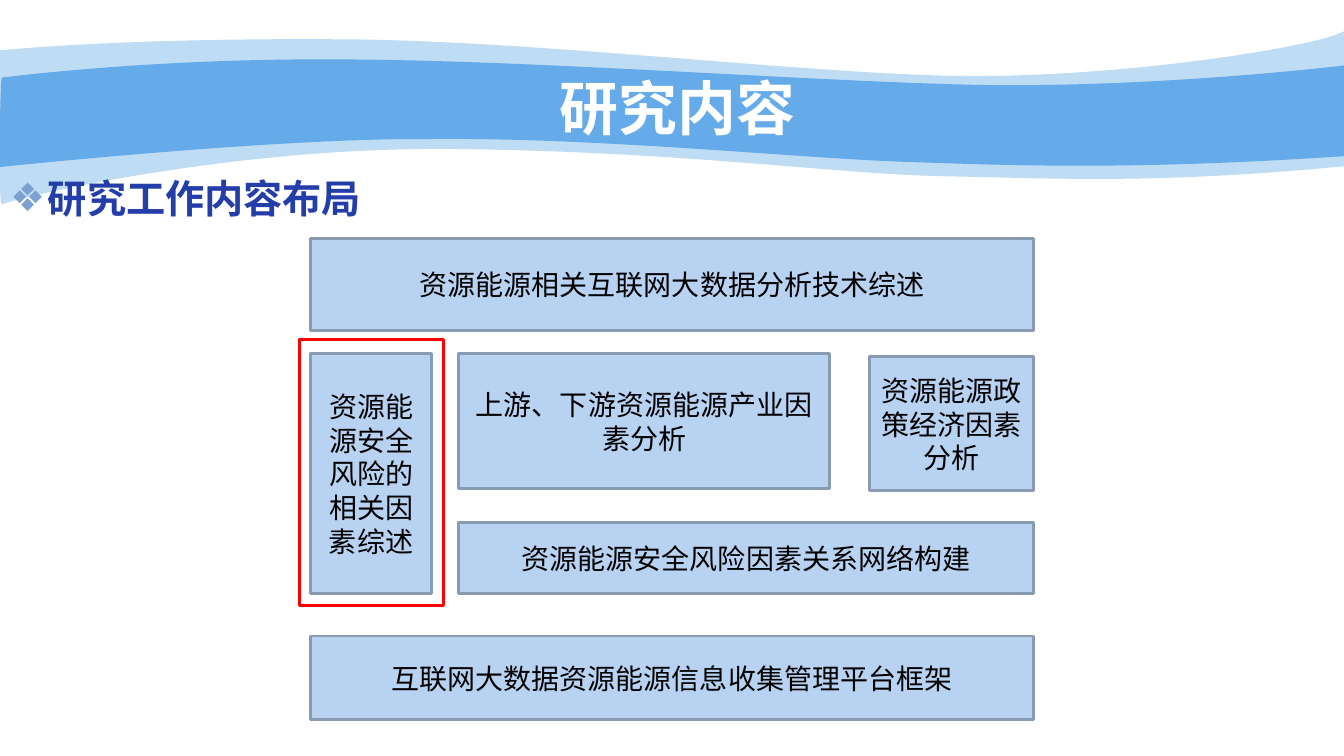
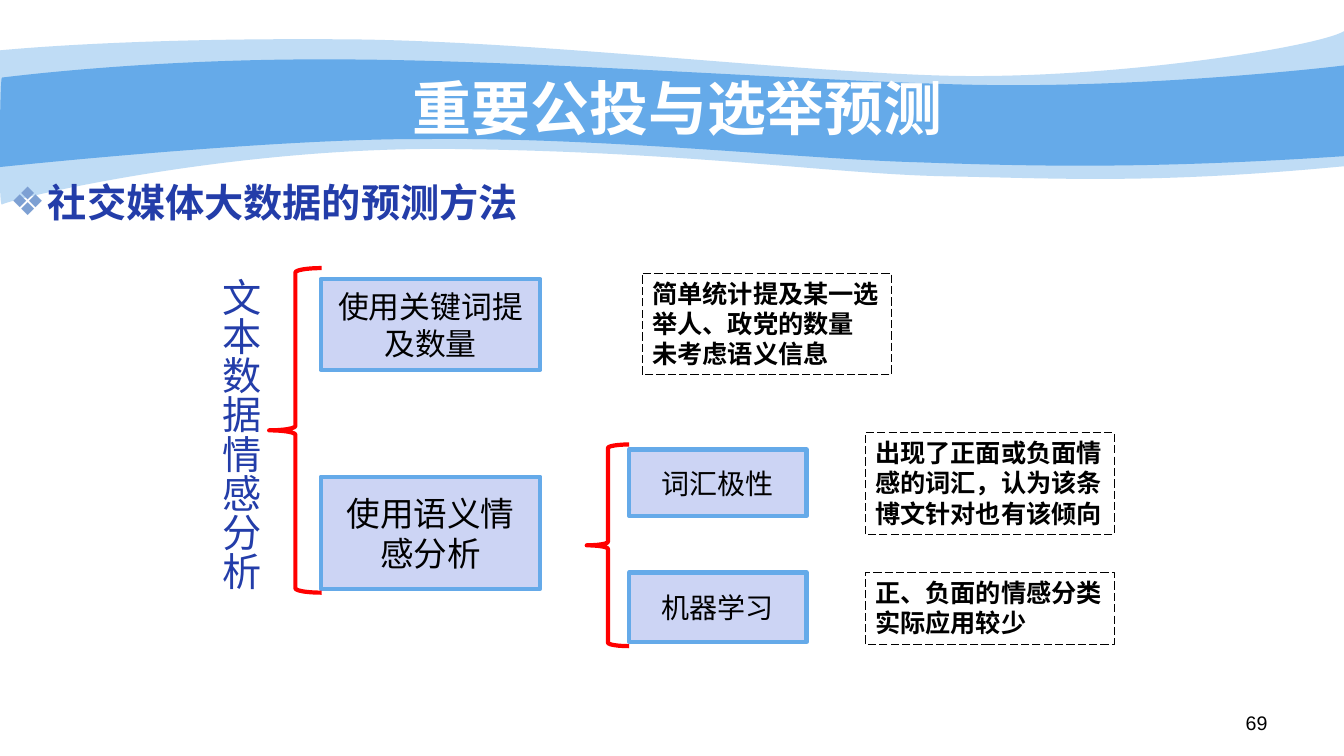
import lxml.etree
import pptx
import pptx.dml.color
import pptx.enum.dml
import pptx.enum.shapes
import pptx.enum.text
import pptx.oxml.ns
import pptx.util

RGB = pptx.dml.color.RGBColor
SHAPE = pptx.enum.shapes.MSO_SHAPE
ALIGN = pptx.enum.text.PP_ALIGN
ANCHOR = pptx.enum.text.MSO_ANCHOR
Pt = pptx.util.Pt
Inches = pptx.util.Inches
qn = pptx.oxml.ns.qn

BAND = RGB(0x65, 0xAA, 0xE9)
HEADING = RGB(0x23, 0x3D, 0xA9)
BULLET = RGB(0x7D, 0xA0, 0xD3)
TOPIC_FILL, TOPIC_EDGE = RGB(0xB8, 0xD2, 0xF2), RGB(0x88, 0x9B, 0xB3)
METHOD_FILL = RGB(0xCC, 0xD4, 0xF4)
RED = RGB(0xFF, 0, 0)
BLACK = RGB(0, 0, 0)
WHITE = RGB(0xFF, 0xFF, 0xFF)
CJK = "Noto Sans CJK SC"
HANGING = Pt(27)

deck = pptx.Presentation()
deck.slide_width, deck.slide_height = Inches(13.33), Inches(7.5)


def place(left, top, width, height):
    """Turn percentages of the slide's width and height into lengths."""
    across, down = deck.slide_width / 100, deck.slide_height / 100
    return [round(n) for n in (left * across, top * down, width * across, height * down)]


def write(frame, text, size, color, bold=False, align=ALIGN.LEFT,
          anchor=ANCHOR.TOP, font=CJK, bullet=None):
    """Fill a text frame with one paragraph per line of text."""
    frame.text = text
    frame.vertical_anchor = anchor
    frame.word_wrap = True
    frame.auto_size = pptx.enum.text.MSO_AUTO_SIZE.NONE
    for paragraph in frame.paragraphs:
        paragraph.alignment = align
        paragraph.space_before = Pt(0)
        if bullet:
            props = paragraph._p.get_or_add_pPr()
            props.set("marL", str(HANGING))
            props.set("indent", str(-HANGING))
            tint = lxml.etree.SubElement(props, qn("a:buClr"))
            lxml.etree.SubElement(tint, qn("a:srgbClr"), val=str(BULLET))
            lxml.etree.SubElement(props, qn("a:buChar"), char=bullet)
        paragraph.font.size = Pt(size)
        paragraph.font.bold = bold
        paragraph.font.color.rgb = color
        paragraph.font.name = font
        defaults = paragraph._p.pPr.find(qn("a:defRPr"))
        lxml.etree.SubElement(defaults, qn("a:ea"), typeface=font)


# Shared layout: title position and the two wave bands
layout = deck.slide_layouts[1]
banner = layout.placeholders[0]
banner.left, banner.top, banner.width, banner.height = place(9.98, 10, 80.87, 8.27)

slides = []
for title, heading, heading_area in (
    ("研究内容", "研究工作内容布局", (0, 22.4, 90, 69.87)),
    ("重要公投与选举预测", "社交媒体大数据的预测方法", (0, 22.93, 50, 8)),
):
    slide = deck.slides.add_slide(layout)
    write(slide.shapes.title.text_frame, title, 42, WHITE, True, ALIGN.CENTER, ANCHOR.MIDDLE)
    body = slide.placeholders[1]
    body.left, body.top, body.width, body.height = place(*heading_area)
    write(body.text_frame, heading, 28, HEADING, True, bullet="❖")
    slides.append(slide)
content, prediction = slides

# Opacity, then the upper edge (left to right) and the lower edge (back to the
# left): a start point followed by three control points per curve, in inches.
WAVES = (
    (41,
     ((0, 0.5), (0.32, 0.47), (1.43, 0.38), (3.29, 0.39), (5.14, 0.39), (7.67, 0.7),
      (9.32, 0.75), (10.96, 0.8), (13.06, 0.47), (13.33, 0.31)),
     ((13.33, 1.65), (11.44, 1.83), (10.5, 1.77), (9.39, 1.75), (8.29, 1.73),
      (6.87, 1.51), (4.58, 1.48), (2.29, 1.44), (0.05, 1.99), (0.02, 2.03),
      (-0.02, 2.08), (0, 0.75), (0, 0.5))),
    (100,
     ((0.02, 0.77), (0.03, 0.77), (1.46, 0.58), (3.31, 0.59), (5.15, 0.59), (7.94, 0.8),
      (9.58, 0.84), (11.22, 0.88), (13.01, 0.69), (13.33, 0.65)),
     ((13.33, 1.55), (11.37, 1.68), (10.21, 1.65), (9.09, 1.61), (7.99, 1.58),
      (5.96, 1.36), (4.23, 1.38), (2.71, 1.37), (-0.03, 1.66), (-0.02, 1.66),
      (0, 1.66), (0, 0.77), (0.02, 0.77))),
)
for depth, (opacity, upper, lower) in enumerate(WAVES):
    points = [(Inches(x), Inches(y)) for x, y in upper + lower]
    builder = content.shapes.build_freeform(*points[0], scale=1.0)
    builder.add_line_segments(points[1:], close=True)
    wave = builder.convert_to_shape()
    wave.shadow.inherit = False
    wave.line.fill.background()
    wave.fill.solid()
    wave.fill.fore_color.rgb = BAND
    tint = wave._element.spPr.find(qn("a:solidFill"))[0]
    lxml.etree.SubElement(tint, qn("a:alpha"), val=str(opacity * 1000))

    # Join every three points of an edge into one cubic curve
    segments = list(wave._element.iter(qn("a:lnTo")))
    side = len(upper) - 1
    for edge in (segments[:side], segments[side + 1:]):
        for first in range(0, len(edge) - 2, 3):
            curve = lxml.etree.Element(qn("a:cubicBezTo"))
            edge[first].addprevious(curve)
            for segment in edge[first:first + 3]:
                curve.append(segment[0])
                segment.getparent().remove(segment)
    layout.shapes._spTree.insert(2 + depth, wave._element)

# Boxes: position, text, text size
LEFT, MIDDLE, FULL = 23.11, 34.13, 53.79
TOPICS = (
    ((LEFT, 46.8, 9, 31.73), "资源能源安全风险的相关因素综述", 20),
    ((LEFT, 31.6, FULL, 12.13), "资源能源相关互联网大数据分析技术综述", 20),
    ((LEFT, 84.13, FULL, 11.07), "互联网大数据资源能源信息收集管理平台框架", 20),
    ((MIDDLE, 46.8, 27.61, 17.87), "上游、下游资源能源产业因素分析", 20),
    ((64.67, 47.2, 12.23, 17.73), "资源能源政策经济因素分析", 20),
    ((MIDDLE, 69.07, LEFT + FULL - MIDDLE, 9.47), "资源能源安全风险因素关系网络构建", 20),
)
METHODS = (
    ((23.86, 36.93, 16.35, 12), "使用关键词提及数量", 22),
    ((23.86, 63.07, 16.35, 14.8), "使用语义情感分析", 24),
    ((46.81, 59.47, 13.2, 8.8), "词汇极性", 20),
    ((46.81, 75.73, 13.2, 9.2), "机器学习", 20),
)
for slide, boxes, fill, edge, weight in (
    (content, TOPICS, TOPIC_FILL, TOPIC_EDGE, 2),
    (prediction, METHODS, METHOD_FILL, BAND, 3),
):
    for position, text, size in boxes:
        box = slide.shapes.add_shape(SHAPE.RECTANGLE, *place(*position))
        box.shadow.inherit = False
        box.fill.solid()
        box.fill.fore_color.rgb = fill
        box.line.color.rgb = edge
        box.line.width = Pt(weight)
        write(box.text_frame, text, size, BLACK, align=ALIGN.CENTER, anchor=ANCHOR.MIDDLE)

# Red highlight frame and braces, then dashed remarks
REMARK_W = 18.53
for slide, kind, position, color, weight, remark in (
    (content, SHAPE.RECTANGLE, (22.28, 44.93, 10.73, 35.2), RED, 2.25, None),
    (prediction, SHAPE.LEFT_BRACE, (20.03, 35.47, 3.9, 42.93), RED, 3, None),
    (prediction, SHAPE.LEFT_BRACE, (43.66, 58.8, 3.15, 26.67), RED, 3, None),
    (prediction, SHAPE.RECTANGLE, (47.79, 36.13, REMARK_W, 13.47), BLACK, 0.75,
     "简单统计提及某一选举人、政党的数量\n未考虑语义信息"),
    (prediction, SHAPE.RECTANGLE, (64.37, 57.2, REMARK_W, 13.47), BLACK, 0.75,
     "出现了正面或负面情感的词汇，认为该条博文针对也有该倾向"),
    (prediction, SHAPE.RECTANGLE, (64.37, 75.73, REMARK_W, 9.47), BLACK, 0.75,
     "正、负面的情感分类\n实际应用较少"),
):
    outlined = slide.shapes.add_shape(kind, *place(*position))
    outlined.shadow.inherit = False
    outlined.fill.background()
    outlined.line.color.rgb = color
    outlined.line.width = Pt(weight)
    if remark:
        outlined.line.dash_style = pptx.enum.dml.MSO_LINE.LONG_DASH
        write(outlined.text_frame, remark, 18, BLACK, bold=True)

root_topic = prediction.shapes.add_textbox(*place(15, 35.47, 5.03, 42.8)).text_frame
write(root_topic, "文本数据情感分析", 28, HEADING, align=ALIGN.CENTER)
root_topic.word_wrap = False
root_topic._txBody.bodyPr.set("vert", "eaVert")

page_number = prediction.shapes.add_textbox(*place(71.72, 93.33, 23.33, 4.67)).text_frame
write(page_number, "69", 14, BLACK, align=ALIGN.RIGHT, font="Arial")

deck.save("out.pptx")
